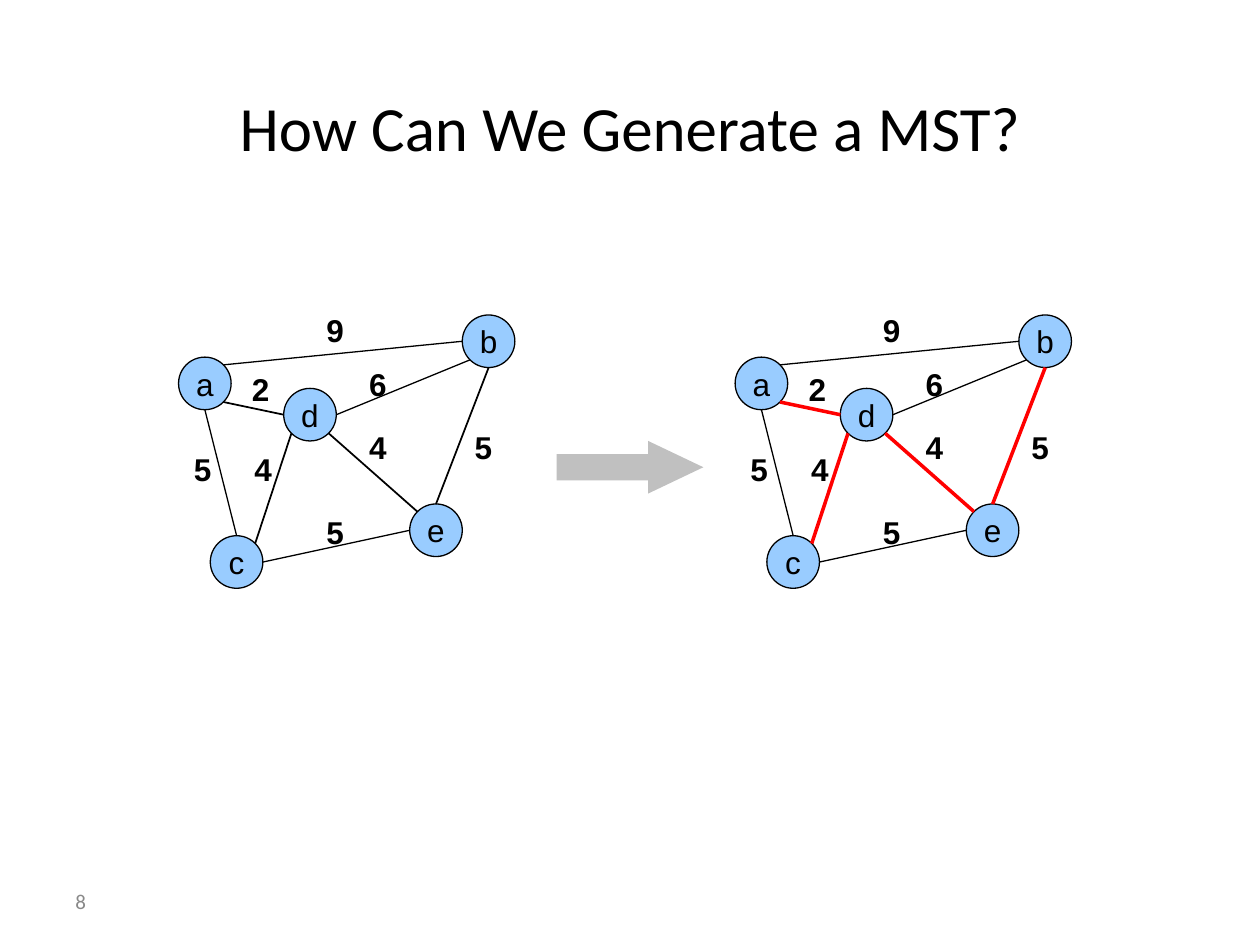
from dataclasses import dataclass
from math import sqrt

from lxml.etree import SubElement
from pptx import Presentation
from pptx.dml.color import RGBColor as RGB
from pptx.enum.shapes import MSO_CONNECTOR as Connector, MSO_SHAPE as Shape
from pptx.enum.text import MSO_ANCHOR as Anchor, MSO_AUTO_SIZE as AutoSize, PP_ALIGN as Align
from pptx.oxml.ns import qn
from pptx.util import Cm, Pt


@dataclass(frozen=True)
class Theme:
    ink: RGB = RGB(0, 0, 0)
    node: RGB = RGB(0x99, 0xCC, 0xFF)
    tree: RGB = RGB(0xFF, 0, 0)
    arrow: RGB = RGB(0xC0, 0xC0, 0xC0)
    muted: RGB = RGB(0x89, 0x89, 0x89)
    heading_font: str = "Calibri"
    graph_font: str = "Arial"
    title_size: float = 36
    graph_size: float = 18
    number_size: float = 12
    thin: float = 0.75
    medium: float = 1
    thick: float = 2


THEME = Theme()
NODE_SIZE = 1.06
WEIGHT_BOX = (0.86, 1.02)
NODES = {"a": (0, 0.85), "c": (0.64, 4.45), "e": (4.66, 3.81), "d": (2.12, 1.48), "b": (5.72, 0)}
DIAGONAL = 1 / sqrt(2)
SITES = {
    "top": (0, -1), "bottom": (0, 1), "left": (-1, 0), "right": (1, 0),
    "top left": (-DIAGONAL, -DIAGONAL), "top right": (DIAGONAL, -DIAGONAL),
    "bottom left": (-DIAGONAL, DIAGONAL), "bottom right": (DIAGONAL, DIAGONAL),
}
EDGES = [
    ("a", "top right", "b", "left", "9", (2.73, -0.2), False),
    ("d", "right", "b", "bottom left", "6", (3.59, 0.89), False),
    ("a", "bottom", "c", "top", "5", (0.06, 2.59), False),
    ("a", "bottom right", "d", "left", "2", (1.23, 0.99), True),
    ("c", "top right", "d", "bottom left", "4", (1.28, 2.59), True),
    ("d", "bottom right", "e", "top left", "4", (3.59, 2.16), True),
    ("b", "bottom", "e", "top", "5", (5.72, 2.16), True),
    ("e", "left", "c", "right", "5", (2.73, 3.86), False),
]


def write(shape, text, font, size, color, align=Align.LEFT, anchor=Anchor.MIDDLE, bold=False, wrap=True):
    frame = shape.text_frame
    frame.text = text
    frame.word_wrap = wrap
    frame.vertical_anchor = anchor
    paragraph = frame.paragraphs[0]
    paragraph.alignment = align
    style = paragraph.runs[0].font
    style.name, style.size, style.bold = font, Pt(size), bold
    style.color.rgb = color
    return frame


def add_title(slide, left, top, width, height):
    title = slide.shapes.add_textbox(Cm(left), Cm(top), Cm(width), Cm(height))
    frame = write(title, "How Can We Generate a MST?", THEME.heading_font,
                  THEME.title_size, THEME.ink, Align.CENTER)
    frame.margin_top = Cm(0.53)


def add_slide_number(slide, left, top, width, height):
    number = slide.shapes.add_textbox(Cm(left), Cm(top), Cm(width), Cm(height))
    write(number, "8", THEME.heading_font, THEME.number_size, THEME.muted)


def add_node(graph, name, left, top):
    node = graph.add_shape(Shape.OVAL, Cm(left), Cm(top), Cm(NODE_SIZE), Cm(NODE_SIZE))
    node.shadow.inherit = False
    node.fill.solid()
    node.fill.fore_color.rgb = THEME.node
    node.line.color.rgb = THEME.ink
    node.line.width = Pt(THEME.thin)
    write(node, name, THEME.graph_font, THEME.graph_size, THEME.ink, Align.CENTER, wrap=False)


def add_edge(graph, start, end, color, width):
    edge = graph.add_connector(Connector.STRAIGHT, *map(Cm, start + end))
    edge.line.color.rgb = color
    edge.line.width = Pt(width)
    SubElement(edge._element.spPr, qn("a:effectLst"))


def add_weight(graph, weight, left, top):
    label = graph.add_textbox(Cm(left), Cm(top), *map(Cm, WEIGHT_BOX))
    frame = write(label, weight, THEME.graph_font, THEME.graph_size, THEME.ink,
                  anchor=Anchor.TOP, bold=True, wrap=False)
    frame.auto_size = AutoSize.SHAPE_TO_FIT_TEXT


def add_graph(slide, left, top, tree_color, tree_width):
    graph = slide.shapes.add_group_shape().shapes

    def site(name, side):
        x, y = NODES[name]
        dx, dy = SITES[side]
        radius = NODE_SIZE / 2
        return left + x + radius * (1 + dx), top + y + radius * (1 + dy)

    for name, (x, y) in NODES.items():
        add_node(graph, name, left + x, top + y)
    for source, source_side, target, target_side, _, _, in_tree in EDGES:
        color, width = (tree_color, tree_width) if in_tree else (THEME.ink, THEME.thin)
        add_edge(graph, site(source, source_side), site(target, target_side), color, width)
    for *_, weight, (x, y), _ in EDGES:
        add_weight(graph, weight, left + x, top + y)


def add_arrow(slide, left, top, width, height):
    arrow = slide.shapes.add_shape(Shape.RIGHT_ARROW, Cm(left), Cm(top), Cm(width), Cm(height))
    arrow.adjustments[0] = 0.5
    arrow.adjustments[1] = 1.05
    arrow.shadow.inherit = False
    arrow.fill.solid()
    arrow.fill.fore_color.rgb = THEME.arrow
    arrow.line.fill.background()


def main():
    deck = Presentation()
    deck.slide_width, deck.slide_height = Cm(25.4), Cm(19.05)
    slide = deck.slides.add_slide(deck.slide_layouts[6])
    add_slide_number(slide, 1.27, 17.65, 5.92, 1.02)
    add_title(slide, 1.27, 0.76, 22.86, 3.18)
    add_graph(slide, 3.6, 6.35, THEME.ink, THEME.medium)
    add_graph(slide, 14.82, 6.35, THEME.tree, THEME.thick)
    add_arrow(slide, 11.22, 8.89, 2.96, 1.06)
    deck.save("out.pptx")


if __name__ == "__main__":
    main()
